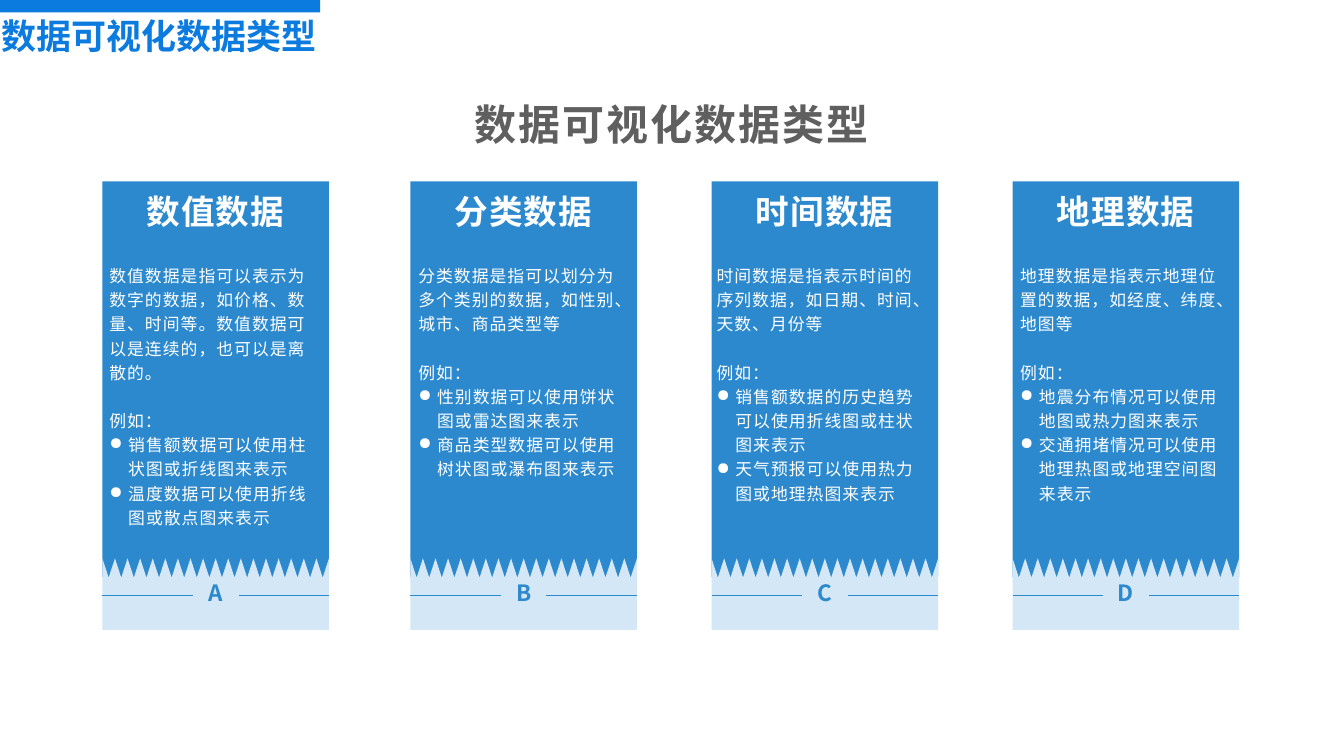
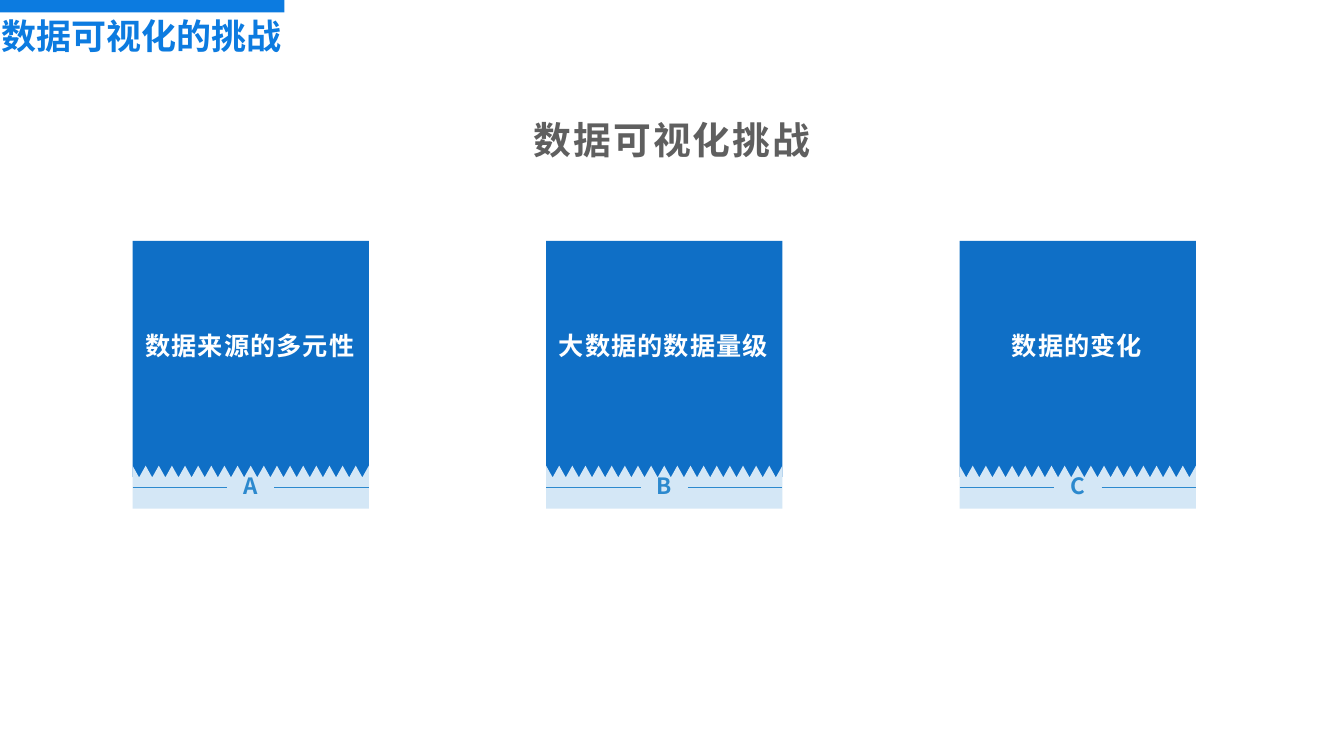
"""Build two slides about data types and challenges in data visualisation."""
from dataclasses import dataclass

from lxml.etree import SubElement
from pptx import Presentation
from pptx.dml.color import RGBColor as Rgb
from pptx.enum.shapes import MSO_CONNECTOR as Connector, MSO_SHAPE as Preset
from pptx.enum.text import MSO_ANCHOR as Anchor, PP_ALIGN as Align
from pptx.oxml.ns import qn
from pptx.util import Cm, Pt


@dataclass(frozen=True)
class Theme:
    font: str = "Noto Sans CJK JP"
    accent: Rgb = Rgb(0x0C, 0x7B, 0xE0)
    sky: Rgb = Rgb(0x2C, 0x89, 0xCE)
    deep: Rgb = Rgb(0x0F, 0x6F, 0xC6)
    pale: Rgb = Rgb(0xD4, 0xE7, 0xF6)
    grey: Rgb = Rgb(0x5F, 0x5F, 0x5F)
    white: Rgb = Rgb(0xFF, 0xFF, 0xFF)
    title: int = 50
    letter: int = 32
    card_head: int = 48
    card_label: int = 36
    body: int = 24
    body_gap: float = 34.5
    rule: float = 0.5


theme = Theme()
bullet = "●"
teeth = 18

types_slide = {
    "title": "数据可视化数据类型", "bar": 16.18, "title_width": 17.37,
    "heading": "数据可视化数据类型", "heading_size": 60, "heading_box": (23.14, 4.27, 21.44, 3.4),
    "fill": theme.sky, "lefts": [5.16, 20.68, 35.86, 51.03], "width": 11.42,
    "top": 9.14, "height": 19.94, "tear": 28.14, "tear_height": 3.61, "tooth": 0.97,
    "rule_y": 29.97, "rule_length": 4.56,
    "label_top": 9.09, "label_height": 3.4, "label_size": theme.card_head, "label_shift": 0.08,
    "label_width": 11.23,
    "labels": ["数值数据", "分类数据", "时间数据", "地理数据"],
    "body_shifts": [0.1, 0.15, 0, 0.13],
    "bodies": [
        ["数值数据是指可以表示为数字的数据，如价格、数量、时间等。数值数据可以是连续的，也可以是离散的。",
         "销售额数据可以使用柱状图或折线图来表示", "温度数据可以使用折线图或散点图来表示"],
        ["分类数据是指可以划分为多个类别的数据，如性别、城市、商品类型等",
         "性别数据可以使用饼状图或雷达图来表示", "商品类型数据可以使用树状图或瀑布图来表示"],
        ["时间数据是指表示时间的序列数据，如日期、时间、天数、月份等",
         "销售额数据的历史趋势可以使用折线图或柱状图来表示", "天气预报可以使用热力图或地理热图来表示"],
        ["地理数据是指表示地理位置的数据，如经度、纬度、地图等",
         "地震分布情况可以使用地图或热力图来表示", "交通拥堵情况可以使用地理热图或地理空间图来表示"],
    ],
}
challenges_slide = {
    "title": "数据可视化的挑战", "bar": 14.38, "title_width": 15.42,
    "heading": "数据可视化挑战", "heading_size": 54, "heading_box": (25.04, 5.92, 17.65, 1.8),
    "fill": theme.deep, "lefts": [6.68 + 20.84 * i for i in range(3)], "width": 11.91,
    "top": 12.14, "height": 11.89, "tear": 23.47, "tear_height": 2.16, "tooth": 0.59,
    "rule_y": 24.56, "rule_length": 4.76,
    "label_top": 16.21, "label_height": 6.35, "label_size": theme.card_label, "label_shift": -0.03,
    "label_width": 11.89,
    "labels": ["数据来源的多元性", "大数据的数据量级", "数据的变化"],
    "body_shifts": [], "bodies": [],
}


def paint(shape, color):
    shape.shadow.inherit = False
    shape.fill.solid()
    shape.fill.fore_color.rgb = color
    shape.line.fill.background()


def write(frame, text, size, color, bold=True, align=Align.CENTER, line=1.2, tracking=0):
    frame.word_wrap = True
    frame.text = text
    for para in frame.paragraphs:
        para.alignment = align
        para.line_spacing = line
        if para.text.startswith(bullet):
            para.text = para.text.removeprefix(bullet)
            props = para._p.get_or_add_pPr()
            props.set("marL", str(Cm(0.95)))
            props.set("indent", str(-Cm(0.95)))
            SubElement(props, qn("a:buChar")).set("char", bullet)
        for span in para.runs:
            span.font.name = theme.font
            span.font.size = Pt(size)
            span.font.bold = bold
            span.font.color.rgb = color
            if tracking:
                span._r.get_or_add_rPr().set("spc", str(int(tracking * 100)))


deck = Presentation()
deck.slide_width, deck.slide_height = Cm(67.73), Cm(38.1)

for plan in (types_slide, challenges_slide):
    page = deck.slides.add_slide(deck.slide_layouts[6])
    shapes = page.shapes

    bar = shapes.add_shape(Preset.RECTANGLE, Cm(-0.05), Cm(-0.03), Cm(plan["bar"]), Cm(0.66))
    paint(bar, theme.accent)
    title = shapes.add_textbox(Cm(0.08), Cm(0.71), Cm(plan["title_width"]), Cm(4.11)).text_frame
    title.margin_left = title.margin_right = title.margin_top = title.margin_bottom = 0
    write(title, plan["title"], theme.title, theme.accent, align=Align.LEFT, line=1.0)

    width = plan["width"]
    for index, (left, label) in enumerate(zip(plan["lefts"], plan["labels"])):
        right = left + width
        card = shapes.add_shape(Preset.RECTANGLE, Cm(left), Cm(plan["top"]), Cm(width), Cm(plan["height"]))
        paint(card, plan["fill"])

        crest = plan["tear"]
        bottom = crest + plan["tear_height"]
        zigzag = [(left + width * step / (2 * teeth), crest + plan["tooth"] * (step % 2))
                  for step in range(1, 2 * teeth + 1)]
        outline = [(Cm(x), Cm(y)) for x, y in zigzag + [(right, bottom), (left, bottom)]]
        builder = shapes.build_freeform(Cm(left), Cm(crest))
        builder.add_line_segments(outline, close=True)
        tear = builder.convert_to_shape()
        paint(tear, theme.pale)
        tear.text_frame.vertical_anchor = Anchor.MIDDLE
        write(tear.text_frame, "ABCD"[index], theme.letter, theme.sky, line=0.9)

        rule_y = Cm(plan["rule_y"])
        for start in (right - plan["rule_length"], left):
            rule = shapes.add_connector(
                Connector.STRAIGHT, Cm(start), rule_y, Cm(start + plan["rule_length"]), rule_y)
            rule.line.color.rgb = theme.sky
            rule.line.width = Pt(theme.rule)
            SubElement(rule._element.spPr, qn("a:effectLst"))

        label_box = shapes.add_textbox(Cm(left + plan["label_shift"]), Cm(plan["label_top"]),
                                       Cm(plan["label_width"]), Cm(plan["label_height"]))
        write(label_box.text_frame, label, plan["label_size"], theme.white, tracking=1.5)

    heading = shapes.add_textbox(*map(Cm, plan["heading_box"])).text_frame
    heading.vertical_anchor = Anchor.MIDDLE
    write(heading, plan["heading"], plan["heading_size"], theme.grey, tracking=3)

    for left, shift, (summary, *examples) in zip(plan["lefts"], plan["body_shifts"], plan["bodies"]):
        body = shapes.add_textbox(Cm(left + shift), Cm(13.06), Cm(11.23), Cm(17.22)).text_frame
        lines = [summary, "例如："] + [bullet + example for example in examples]
        write(body, "\n".join(lines), theme.body, theme.white, bold=False, align=Align.LEFT, tracking=1.5)
        body.paragraphs[1].space_before = Pt(theme.body_gap)

deck.save("out.pptx")
